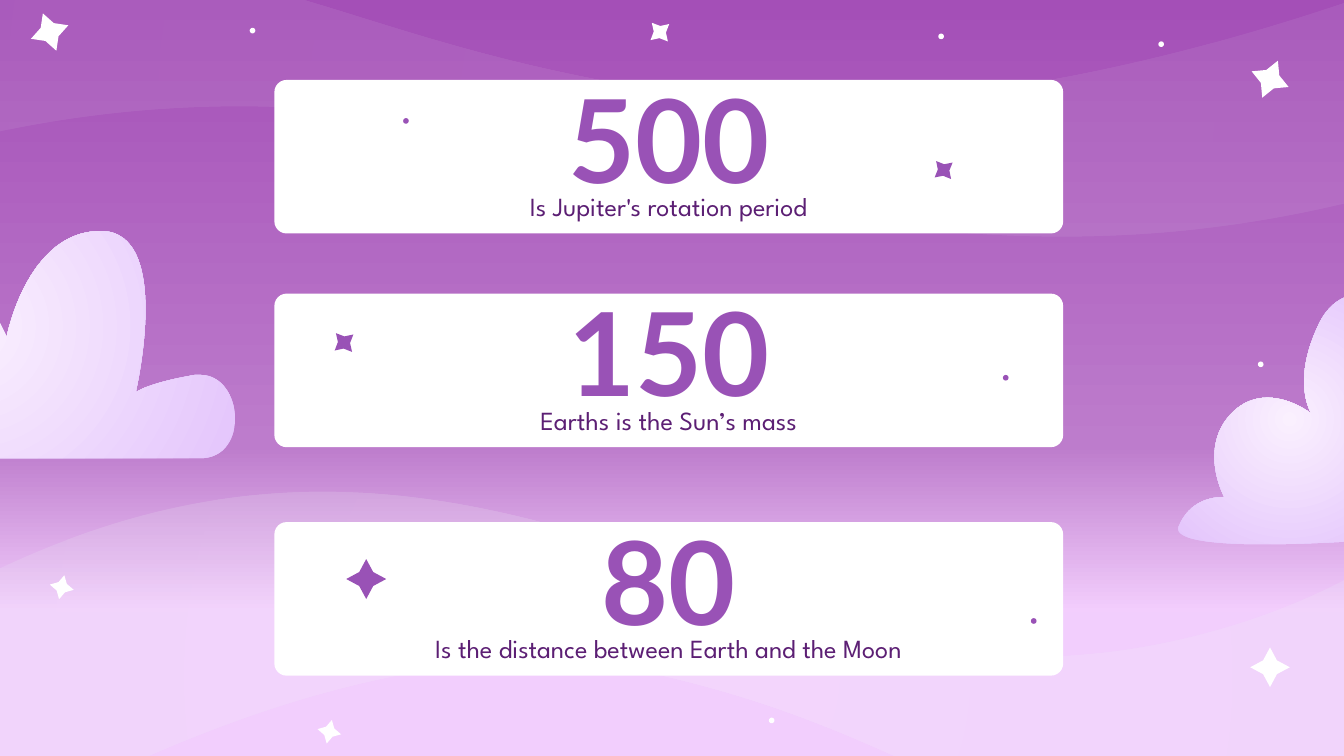
import pptx
import pptx.util
import pptx.dml.color
import pptx.enum.shapes
import pptx.enum.text
from lxml import etree
from pptx.oxml.ns import qn

Pt = pptx.util.Pt
MSO = pptx.enum.shapes.MSO_SHAPE

WIDTH, HEIGHT = 720, 405
WHITE, PURPLE, DARK = "FFFFFF", "9952B6", "5C1F74"
SKY = [(0, "F2CEFD", 100), (19, "F3CEFD", 100), (41, "BD7CCC", 100), (100, "A44FB7", 100)]
CLOUD = [(0, "FAF0FE", 100), (100, "E3C3FC", 100)]
LOW_HAZE = [(0, "FAFAFA", 17), (100, "EDF2F6", 17)]
HIGH_HAZE = [(0, "FAFAFA", 8), (100, "EDF2F6", 8)]

FACTS = [
    (42.8, "500", "Is Jupiter's rotation period"),
    (157.3, "150", "Earths is the Sun’s mass"),
    (279.7, "80", "Is the distance between Earth and the Moon"),
]
CARD_LEFT, CARD_WIDTH, CARD_HEIGHT = 147, 422.6, 82.3
TEXT_LEFT, TEXT_WIDTH = 179.4, 357.8
NUMBER = dict(offset=4.3, height=52.6, size=62, font="Lato", color=PURPLE, bold=True)
LABEL = dict(offset=56.8, height=21.6, size=14, font="League Spartan", color=DARK, bold=False)

LOW_WAVE = [
    (172.8, 263.5), (106.6, 263.5, 41.8, 280.8, -30.2, 319.7), (-6.5, 449.3),
    (-6.5, 449.3, 145.4, 354.2, 287.3, 354.2), (306, 354.2, 324.7, 355.7, 342.7, 359.3),
    (496.8, 391.7, 528.5, 455, 678.2, 460.1), (708.5, 460.8, 727.9, 461.5, 740.2, 461.5),
    (789.1, 461.5, 719.3, 455, 719.3, 455), (730.1, 305.3),
    (730.1, 305.3, 655.2, 352.1, 550.1, 352.1), (509, 352.1, 463, 344.9, 415.4, 324),
    (324.7, 285.8, 248.4, 263.5, 172.8, 263.5),
]
HIGH_WAVE = [
    (568.8, 126.7), (646.6, 126.7, 722.2, 113.8, 806.4, 82.8), (779, -20.2),
    (779, -20.2, 601.2, 55.4, 435.6, 55.4), (413.3, 55.4, 391.7, 54, 370.8, 51.1),
    (190.8, 25.9, 153.4, -25.2, -21.6, -28.8), (-56.9, -29.5, -79.9, -29.5, -94.3, -29.5),
    (-151.2, -29.5, -69.1, -25.2, -69.1, -25.2), (-82.1, 94.3),
    (-82.1, 94.3, 5.8, 56.9, 128.2, 56.9), (176.4, 56.9, 229.7, 62.6, 285.8, 79.2),
    (391, 109.4, 481, 126.7, 568.8, 126.7),
]
LEFT_CLOUD = [
    (-55.4, 104.4), (-58.3, 104.4, -61.2, 105.8, -64.1, 107.3),
    (-91.4, 128.2, -67.7, 188.6, -67.7, 188.6), (-67.7, 188.6, -103, 177.8, -122.4, 177.8),
    (-132.5, 177.8, -138.2, 180.7, -133.2, 188.6), (-119.5, 212.4, -167.8, 234, -167.8, 234),
    (-123.1, 245.5), (107.3, 245.5), (133.9, 245.5, 130.3, 200.9, 107.3, 200.9),
    (106.6, 200.9, 105.8, 200.9, 104.4, 200.9), (79.2, 205.2, 72.7, 210.2, 72.7, 210.2),
    (72.7, 210.2, 92.9, 123.8, 54, 123.8), (14.4, 123.8, 3.6, 180.7, 3.6, 180.7),
    (3.6, 180.7, -32.4, 104.4, -55.4, 104.4),
]
RIGHT_CLOUD = [
    (728.6, 157.7), (738, 157.7, 745.9, 162.7, 745.9, 162.7), (753.1, 288),
    (753.1, 288, 711.4, 291.6, 676.8, 291.6), (650.9, 291.6, 628.6, 289.4, 631.4, 282.2),
    (637.2, 267.8, 650.2, 266.4, 654.5, 266.4), (655.9, 266.4, 655.9, 266.4, 655.9, 266.4),
    (655.9, 266.4, 641.5, 239.8, 660.2, 221), (666, 215.3, 672.5, 213.1, 679, 213.1),
    (691.9, 213.1, 702.7, 221.8, 702.7, 221.8), (702.7, 221.8, 691.9, 205.9, 705.6, 175.7),
    (711.4, 162, 720.7, 157.7, 728.6, 157.7),
]
SKY_STARS = [
    (680.4, 357.5, 0, -10.6), (680.4, 42.4, 4.2, -9.9), (26.6, 17.2, -3.6, -10),
    (33.1, 314.6, 1.4, -6.4), (176.4, 392, 1.4, -6.3), (353.5, 17.2, -4.3, -5),
]
CARD_STARS = [(505.5, 91.1, -4, -4.8), (196.2, 310.2, 0, -10.7), (184.3, 183.5, -4.3, -5)]
SKY_DOTS = [(702.7, 239.8), (620.6, 22.2), (502.7, 18), (411.9, 384.5), (673.9, 193.7), (133.8, 14.9)]
CARD_DOTS = [(216, 63.3), (552.3, 331.2), (537.3, 200.9)]
DOT = 3
STAR_WAIST = 0.35


def rgb(value):
    return pptx.dml.color.RGBColor.from_string(value)


def paint(sp, fill):
    sp.shadow.inherit = False
    sp.line.fill.background()
    if isinstance(fill, str):
        sp.fill.solid()
        sp.fill.fore_color.rgb = rgb(fill)
        return
    sp.fill.gradient()
    grad = sp._element.spPr.find(qn("a:gradFill"))
    for child in list(grad):
        grad.remove(child)
    stops = etree.SubElement(grad, qn("a:gsLst"))
    for pos, color, alpha in fill:
        stop = etree.SubElement(stops, qn("a:gs"), pos=str(pos * 1000))
        clr = etree.SubElement(stop, qn("a:srgbClr"), val=color)
        if alpha < 100:
            etree.SubElement(clr, qn("a:alpha"), val=str(alpha * 1000))
    if fill is SKY:
        etree.SubElement(grad, qn("a:lin"), ang="16200000", scaled="0")
    else:
        radial = etree.SubElement(grad, qn("a:path"), path="circle")
        etree.SubElement(radial, qn("a:fillToRect"), l="50000", t="50000", r="50000", b="50000")


def add_preset(s, kind, left, top, width, height, fill):
    sp = s.shapes.add_shape(kind, Pt(left), Pt(top), Pt(width), Pt(height))
    paint(sp, fill)
    return sp


def add_outline(s, segments, fill):
    points = [(Pt(seg[i]), Pt(seg[i + 1])) for seg in segments for i in range(0, len(seg), 2)]
    fb = s.shapes.build_freeform(*points[0])
    fb.add_line_segments(points[1:], close=True)
    sp = fb.convert_to_shape()
    lines = iter(sp._element.findall(".//" + qn("a:lnTo")))
    for seg in segments[1:]:
        line = next(lines)
        if len(seg) == 6:
            curve = etree.Element(qn("a:cubicBezTo"))
            line.addprevious(curve)
            for part in (line, next(lines), next(lines)):
                curve.append(part[0])
                part.getparent().remove(part)
    paint(sp, fill)


def add_stars_and_dots(s, stars, dots, fill):
    for cx, cy, dx, dy in stars:
        points = []
        for _ in range(4):
            nx, ny = dy, -dx
            points.append((cx + dx, cy + dy))
            points.append((cx + STAR_WAIST * (dx + nx), cy + STAR_WAIST * (dy + ny)))
            dx, dy = nx, ny
        add_outline(s, points, fill)
    for left, top in dots:
        add_preset(s, MSO.OVAL, left, top, DOT, DOT, fill)


def add_text(s, text, card_top, offset, height, size, font, color, bold):
    sp = s.shapes.add_textbox(Pt(TEXT_LEFT), Pt(card_top + offset), Pt(TEXT_WIDTH), Pt(height))
    tf = sp.text_frame
    tf.word_wrap = True
    tf.vertical_anchor = pptx.enum.text.MSO_ANCHOR.MIDDLE
    tf.margin_left = tf.margin_right = tf.margin_top = tf.margin_bottom = Pt(7.2)
    p = tf.paragraphs[0]
    p.alignment = pptx.enum.text.PP_ALIGN.CENTER
    r = p.add_run()
    r.text = text
    r.font.name, r.font.size, r.font.bold = font, Pt(size), bold
    r.font.color.rgb = rgb(color)


def main():
    prs = pptx.Presentation()
    prs.slide_width, prs.slide_height = Pt(WIDTH), Pt(HEIGHT)
    s = prs.slides.add_slide(prs.slide_layouts[6])
    add_preset(s, MSO.RECTANGLE, 0, 0, WIDTH, HEIGHT, SKY)
    add_outline(s, LOW_WAVE, LOW_HAZE)
    add_outline(s, HIGH_WAVE, HIGH_HAZE)
    add_stars_and_dots(s, SKY_STARS, SKY_DOTS, WHITE)
    for top, number, label in FACTS:
        card = add_preset(s, MSO.ROUNDED_RECTANGLE, CARD_LEFT, top, CARD_WIDTH, CARD_HEIGHT, WHITE)
        card.adjustments[0] = 0.08
        add_text(s, number, top, **NUMBER)
        add_text(s, label, top, **LABEL)
    for cloud in (LEFT_CLOUD, RIGHT_CLOUD):
        add_outline(s, cloud, CLOUD)
    add_stars_and_dots(s, CARD_STARS, CARD_DOTS, PURPLE)
    prs.save("out.pptx")


if __name__ == "__main__":
    main()
